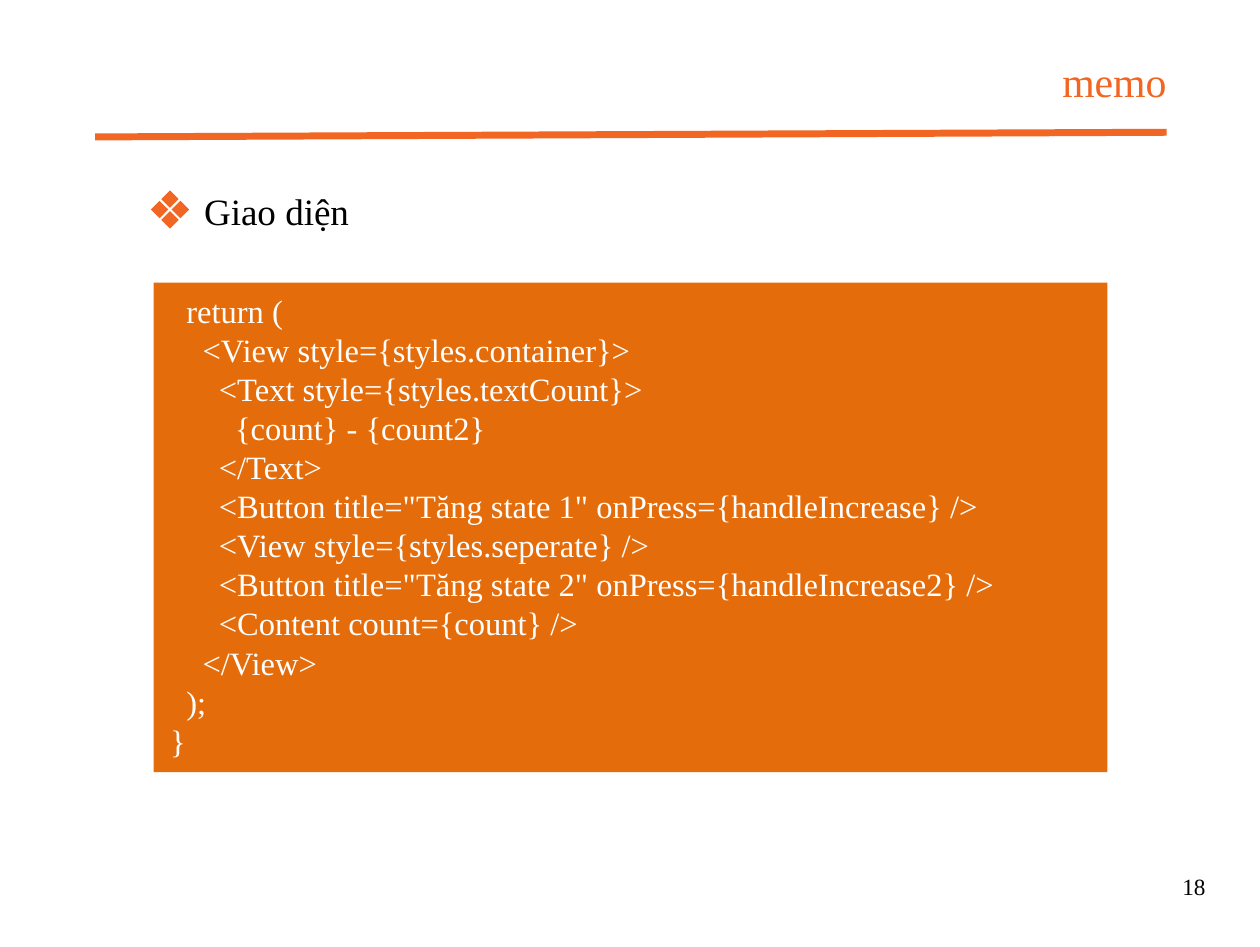
from pptx import Presentation
from pptx.dml.color import RGBColor
from pptx.enum.shapes import MSO_CONNECTOR, MSO_SHAPE
from pptx.enum.text import MSO_ANCHOR, PP_ALIGN
from pptx.oxml.ns import qn
from pptx.util import Pt
from lxml import etree

LINE = MSO_CONNECTOR.STRAIGHT
RECT, GEM = MSO_SHAPE.RECTANGLE, MSO_SHAPE.DIAMOND
LEFT, RIGHT = PP_ALIGN.LEFT, PP_ALIGN.RIGHT
TOP = MSO_ANCHOR.TOP
FONT = "Times New Roman"
ACCENT, PANEL, WHITE, BLACK = "F16622", "E46C0A", "FFFFFF", "000000"
INDENT = 28
CODE = [
    (1, "return ("),
    (2, "<View style={styles.container}>"),
    (3, "<Text style={styles.textCount}>"),
    (4, "{count} - {count2}"),
    (3, "</Text>"),
    (3, '<Button title="Tăng state 1" onPress={handleIncrease} />'),
    (3, "<View style={styles.seperate} />"),
    (3, '<Button title="Tăng state 2" onPress={handleIncrease2} />'),
    (3, "<Content count={count} />"),
    (2, "</View>"),
    (1, ");"),
    (0, "}"),
]


def px(n):
    """Turn px, 288 to the inch, into EMU."""
    return n * 3175


def color(code):
    """Make a colour from a hex string."""
    return RGBColor.from_string(code)


def style(para, size, code, space, align=LEFT):
    """Set the font, line spacing and alignment of a paragraph."""
    para.font.name, para.font.size = FONT, Pt(size)
    para.font.color.rgb = color(code)
    para.line_spacing, para.alignment = Pt(space), align


def label(slide, box, text, size, code, space, align=LEFT):
    """Add one line of text without insets."""
    frame = slide.shapes.add_textbox(*map(px, box)).text_frame
    frame.margin_left = frame.margin_right = 0
    frame.margin_top = frame.margin_bottom = 0
    frame.word_wrap = True
    para = frame.paragraphs[0]
    para.text = text
    style(para, size, code, space, align)


def block(slide, kind, box, code):
    """Add a plain filled shape."""
    shape = slide.shapes.add_shape(kind, *map(px, box))
    shape.shadow.inherit = False
    shape.fill.solid()
    shape.fill.fore_color.rgb = color(code)
    shape.line.fill.background()
    return shape


def header(slide, box):
    """Place the title above its slanted rule."""
    x, y, w, h = box
    ends = x, y + h, x + w, y + h - 8
    rule = slide.shapes.add_connector(LINE, *map(px, ends))
    rule.line.color.rgb = color(ACCENT)
    rule.line.width = Pt(3)
    etree.SubElement(rule._element.spPr, qn("a:effectLst"))
    label(slide, (x + w - 1097, y, 1097, 110), "memo", 18, ACCENT, 25.2, RIGHT)


def topic(slide, box):
    """Place the four-diamond marker and the heading beside it."""
    x, y, w, h = box
    size, step = 30, 18
    left, top = x + 19, y + 35
    for dx, dy in ((0, -1), (1, 0), (0, 1), (-1, 0)):
        spot = left + dx * step, top + dy * step, size, size
        block(slide, GEM, spot, ACCENT)
    label(slide, (x + 93, y, w - 93, h), "Giao diện", 16, BLACK, 22.4)


def listing(slide, box):
    """Place the code panel, indented by nesting depth."""
    frame = block(slide, RECT, box, PANEL).text_frame
    frame.word_wrap = True
    frame.vertical_anchor = TOP
    frame.text = "\n".join(text for _, text in CODE)
    for para, (depth, _) in zip(frame.paragraphs, CODE):
        style(para, 14, WHITE, 16.85)
        para._p.get_or_add_pPr().set("marL", str(px(depth * INDENT)))


def main():
    """Build and save the slide."""
    deck = Presentation()
    deck.slide_width, deck.slide_height = px(2172), px(1632)
    slide = deck.slides.add_slide(deck.slide_layouts[6])
    header(slide, (164, 81, 1847, 155))
    label(slide, (2011, 1495, 67, 58), "18", 10, BLACK, 14, RIGHT)
    listing(slide, (265, 487, 1644, 844))
    topic(slide, (259, 311, 1737, 89))
    deck.save("out.pptx")


if __name__ == "__main__":
    main()
